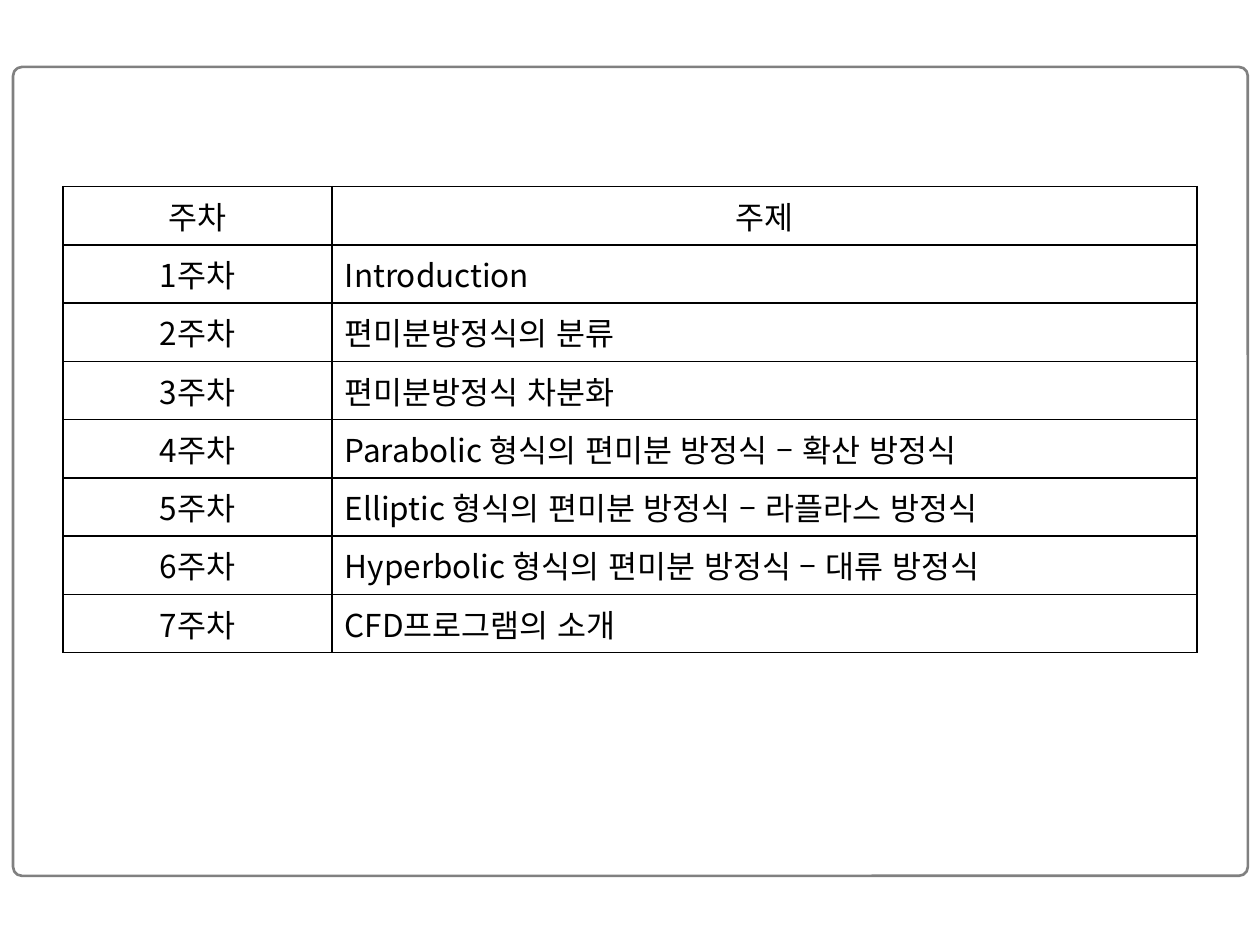
from dataclasses import dataclass

from lxml import etree
from pptx import Presentation
from pptx import util as u
from pptx.dml.color import RGBColor
from pptx.enum import lang, shapes, text
from pptx.oxml.ns import qn

FONT = "Noto Sans CJK KR"
BLACK, GREY = "000000", "808080"
WIDTH, HEIGHT = u.Inches(10), u.Inches(7.5)


@dataclass
class Box:
    """A rectangle in percent of the slide's size."""
    left: float
    top: float
    width: float
    height: float

    def emu(self) -> tuple[int, int, int, int]:
        return (int(self.left * WIDTH / 100), int(self.top * HEIGHT / 100),
                int(self.width * WIDTH / 100), int(self.height * HEIGHT / 100))


FRAME = Box(1.04, 7.08, 98, 85.6)
SCHEDULE = Box(5, 19.75, 90, 43.2)
COLUMN_WIDTHS = (21.37, 68.63)  # percent of the slide's width
TOPICS = (
    "Introduction",
    "편미분방정식의 분류",
    "편미분방정식 차분화",
    "Parabolic 형식의 편미분 방정식 – 확산 방정식",
    "Elliptic 형식의 편미분 방정식 – 라플라스 방정식",
    "Hyperbolic 형식의 편미분 방정식 – 대류 방정식",
    "CFD프로그램의 소개",
)


def color(hex_value: str) -> RGBColor:
    return RGBColor.from_string(hex_value)


def add_frame(s, box: Box) -> None:
    sp = s.shapes.add_shape(shapes.MSO_SHAPE.ROUNDED_RECTANGLE, *box.emu())
    sp.adjustments[0] = 0.011
    sp.shadow.inherit = False
    sp.fill.background()
    sp.line.color.rgb = color(GREY)
    sp.line.width = u.Pt(1.5)


def set_borders(cell, hex_value: str, points: float) -> None:
    props = cell._tc.get_or_add_tcPr()
    for i, side in enumerate(("lnL", "lnR", "lnT", "lnB")):
        ln = etree.Element(qn(f"a:{side}"), w=str(u.Pt(points)))
        fill = etree.SubElement(ln, qn("a:solidFill"))
        etree.SubElement(fill, qn("a:srgbClr"), val=hex_value)
        props.insert(i, ln)


def fill_cell(cell, words: str, centred: bool, header: bool) -> None:
    cell.fill.background()
    set_borders(cell, BLACK, 1)
    if header:
        cell.vertical_anchor = text.MSO_ANCHOR.MIDDLE
    p = cell.text_frame.paragraphs[0]
    r = p.add_run()
    r.text = words
    p.alignment = text.PP_ALIGN.CENTER if centred else text.PP_ALIGN.LEFT
    r.font.size = u.Pt(18)
    r.font.name = FONT
    r.font.color.rgb = color(BLACK)
    r.font.language_id = lang.MSO_LANGUAGE_ID.KOREAN


def add_schedule(s, box: Box) -> None:
    rows = [("주차", "주제")]
    rows += [(f"{week}주차", topic) for week, topic in enumerate(TOPICS, 1)]
    table = s.shapes.add_table(len(rows), len(COLUMN_WIDTHS), *box.emu()).table
    table.first_row = table.horz_banding = False
    for column, percent in zip(table.columns, COLUMN_WIDTHS):
        column.width = int(percent * WIDTH / 100)
    for i, row in enumerate(rows):
        for j, words in enumerate(row):
            fill_cell(table.cell(i, j), words, i == 0 or j == 0, i == 0)


def main() -> None:
    prs = Presentation()
    prs.slide_width, prs.slide_height = WIDTH, HEIGHT
    s = prs.slides.add_slide(prs.slide_layouts[6])
    # Rounded page frame
    add_frame(s, FRAME)
    # Weekly schedule
    add_schedule(s, SCHEDULE)
    prs.save("out.pptx")


if __name__ == "__main__":
    main()
